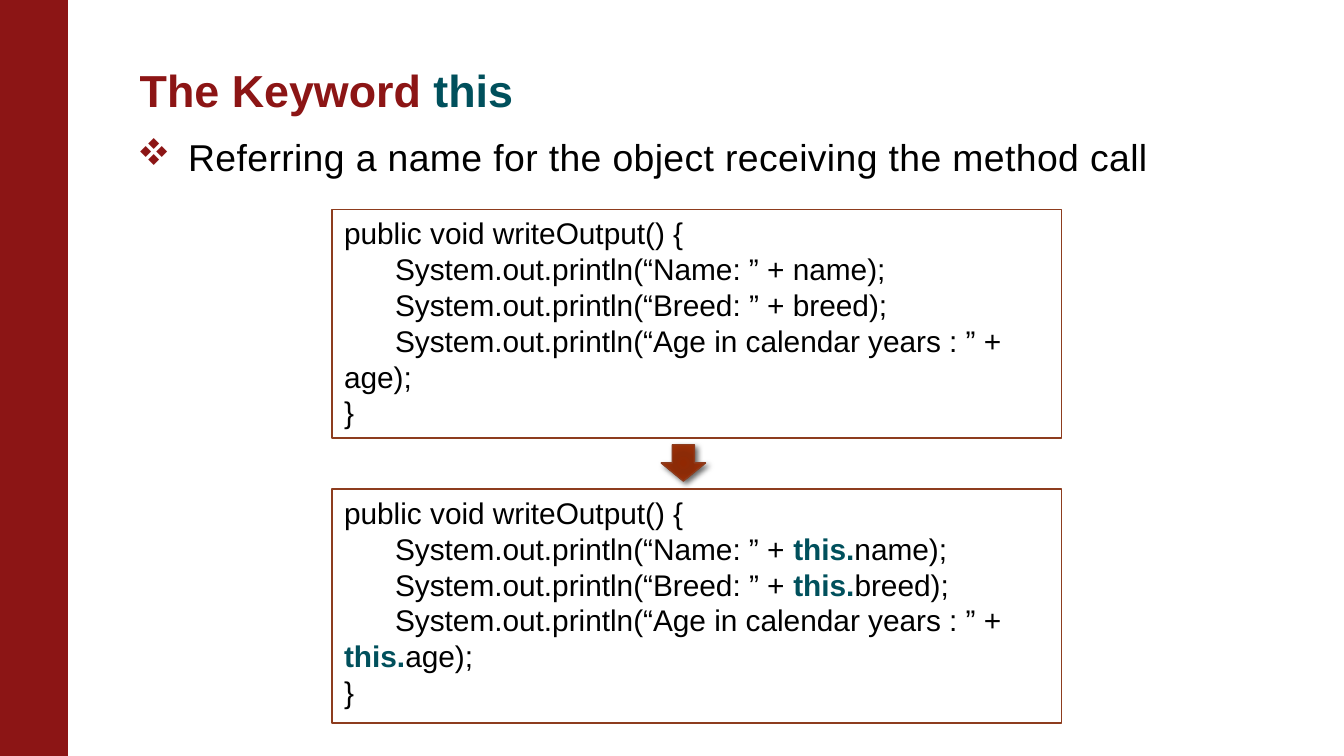
from lxml import etree
from pptx import Presentation
from pptx import util as u
from pptx.dml.color import RGBColor
from pptx.enum import shapes, text
from pptx.oxml import parse_xml
from pptx.oxml.ns import nsdecls, qn

FONT = "Arial"
RED, TEAL, RUST, BLACK = "8C1515", "00505C", "8D3C1E", "000000"

TITLE = [("The Keyword ", RED, True), ("this", TEAL, True)]
POINT = "Referring a name for the object receiving the method call"
FIELDS = [("Name: ", "name"), ("Breed: ", "breed"), ("Age in calendar years : ", "age")]

# Left, top, width, height in inches
BAR = (0, 0, 0.5, 5.63)
TITLE_AREA = (1.04, 0.39, 8.43, 0.53)
POINT_AREA = (1.02, 0.95, 8.46, 0.54)
CODE_LEFT, CODE_WIDTH = 2.47, 5.43
CODE_BOXES = [(1.56, 1.7, ""), (3.64, 1.74, "this.")]  # top, height, prefix
ARROW = (4.92, 3.31, 0.33, 0.27)
ARROW_STOPS = [(0, "912802"), (34, "8C2B07"), (70, "9C3007"), (100, RUST)]
TAB_STEP = 0.19


def color(hex_value):
    return RGBColor.from_string(hex_value)


def add_shape(slide, kind, area, line, fill=None):
    shape = slide.shapes.add_shape(kind, *map(u.Inches, area))
    shape.shadow.inherit = False
    shape.line.color.rgb = color(line)
    shape.line.width = u.Pt(0.75)
    if fill:
        shape.fill.solid()
        shape.fill.fore_color.rgb = color(fill)
    else:
        shape.fill.background()
    return shape


def set_frame(shape, anchor, insets):
    frame = shape.text_frame
    frame.word_wrap = True
    frame.vertical_anchor = anchor
    (frame.margin_left, frame.margin_top,
     frame.margin_right, frame.margin_bottom) = map(u.Inches, insets)
    return frame


def add_runs(paragraph, parts, size):
    """Add (text, colour, bold) parts to a left-aligned paragraph."""
    paragraph.alignment = text.PP_ALIGN.LEFT
    for words, hex_value, bold in parts:
        run = paragraph.add_run()
        run.text = words
        run.font.name = FONT
        run.font.size = u.Pt(size)
        run.font.bold = bold
        run.font.color.rgb = color(hex_value)


def add_title(slide):
    box = slide.shapes.add_textbox(*map(u.Inches, TITLE_AREA))
    frame = set_frame(box, text.MSO_ANCHOR.BOTTOM, (0, 0.05, 0.1, 0.05))
    frame.paragraphs[0].line_spacing = 0.85
    add_runs(frame.paragraphs[0], TITLE, 24)


def add_point(slide):
    box = slide.shapes.add_textbox(*map(u.Inches, POINT_AREA))
    frame = set_frame(box, text.MSO_ANCHOR.TOP, (0, 0.05, 0, 0.05))
    paragraph = frame.paragraphs[0]
    props = paragraph._p.get_or_add_pPr()
    props.set("marL", str(u.Inches(0.38)))
    props.set("indent", str(-u.Inches(0.38)))
    bullet_color = etree.SubElement(props, qn("a:buClr"))
    etree.SubElement(bullet_color, qn("a:srgbClr"), val=RED)
    # In Wingdings the letter v is the four-diamond bullet
    etree.SubElement(props, qn("a:buFont"), typeface="Wingdings", charset="2")
    etree.SubElement(props, qn("a:buChar"), char="v")
    add_runs(paragraph, [(POINT, BLACK, False)], 20)
    paragraph.runs[0].font._element.set("spc", "20")


def code_lines(prefix):
    yield [("public void writeOutput() {", BLACK, False)]
    for label, field in FIELDS:
        line = [(f"\t\tSystem.out.println(“{label}” + ", BLACK, False)]
        if prefix:
            yield line + [(prefix, TEAL, True), (f"{field});", BLACK, False)]
        else:
            yield [(f"{line[0][0]}{field});", BLACK, False)]
    yield [("}", BLACK, False)]


def add_code(slide, top, height, prefix):
    area = (CODE_LEFT, top, CODE_WIDTH, height)
    box = add_shape(slide, shapes.MSO_SHAPE.RECTANGLE, area, RUST)
    frame = set_frame(box, text.MSO_ANCHOR.TOP, (0.09, 0.04, 0.09, 0.04))
    for index, line in enumerate(code_lines(prefix)):
        paragraph = frame.add_paragraph() if index else frame.paragraphs[0]
        tabs = etree.SubElement(paragraph._p.get_or_add_pPr(), qn("a:tabLst"))
        for step in (1, 2):
            etree.SubElement(tabs, qn("a:tab"), pos=str(u.Inches(TAB_STEP * step)), algn="l")
        add_runs(paragraph, line, 16)


def add_arrow(slide):
    """Down arrow with a radial gradient and a soft shadow."""
    arrow = add_shape(slide, shapes.MSO_SHAPE.DOWN_ARROW, ARROW, RUST)
    stops = "".join(f'<a:gs pos="{pos * 1000}"><a:srgbClr val="{hex_value}"/></a:gs>'
                    for pos, hex_value in ARROW_STOPS)
    gradient = parse_xml(
        f'<a:gradFill {nsdecls("a")} rotWithShape="1"><a:gsLst>{stops}</a:gsLst>'
        '<a:path path="circle"><a:fillToRect l="100000" t="100000" r="100000" b="100000"/>'
        '</a:path></a:gradFill>')
    props = arrow._element.spPr
    props.replace(props.find(qn("a:noFill")), gradient)
    props.find(qn("a:effectLst")).append(parse_xml(
        f'<a:outerShdw {nsdecls("a")} blurRad="{u.Pt(3)}" dist="{u.Pt(2)}" dir="{45 * 60000}">'
        f'<a:srgbClr val="{BLACK}"><a:alpha val="60000"/></a:srgbClr></a:outerShdw>'))


def main():
    deck = Presentation()
    deck.slide_width = u.Inches(10)
    deck.slide_height = deck.slide_width * 9 // 16
    slide = deck.slides.add_slide(deck.slide_layouts[6])
    add_shape(slide, shapes.MSO_SHAPE.RECTANGLE, BAR, RED, RED)
    add_title(slide)
    add_point(slide)
    for code_box in CODE_BOXES:
        add_code(slide, *code_box)
    add_arrow(slide)
    deck.save("out.pptx")


if __name__ == "__main__":
    main()
